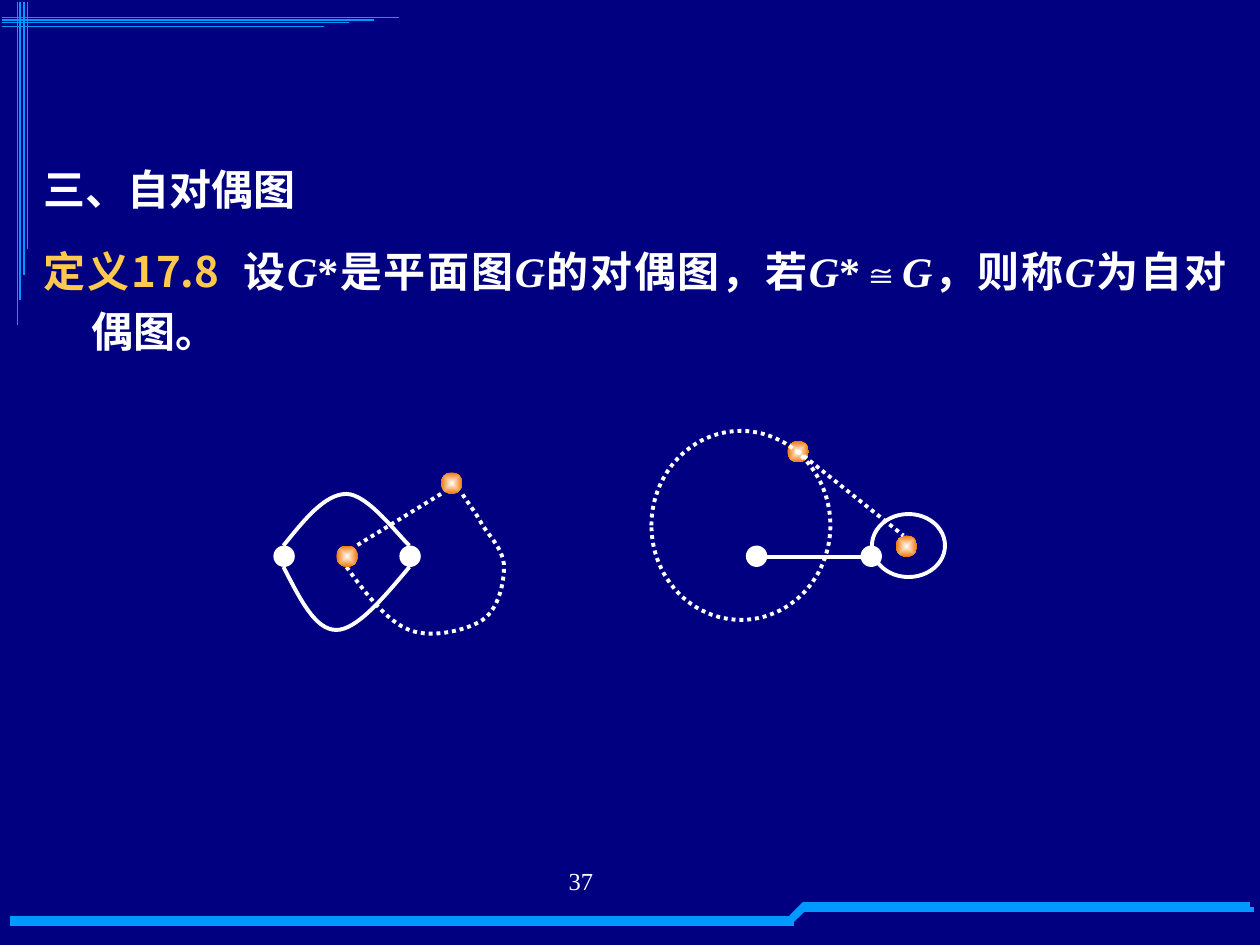
"""Build the slide on self-dual graphs."""
from lxml import etree
from pptx import Presentation
from pptx.dml.color import RGBColor
from pptx.enum.dml import MSO_LINE
from pptx.enum.shapes import MSO_CONNECTOR, MSO_SHAPE
from pptx.enum.text import PP_ALIGN
from pptx.oxml.ns import qn
from pptx.util import Inches, Pt

STRAIGHT = MSO_CONNECTOR.STRAIGHT
OVAL = MSO_SHAPE.OVAL
DOTS = MSO_LINE.ROUND_DOT
CENTER = PP_ALIGN.CENTER
JUSTIFY = PP_ALIGN.JUSTIFY

NAVY = RGBColor(0x00, 0x00, 0x80)
BLUE = RGBColor(0x00, 0x99, 0xFF)
WHITE = RGBColor(0xFF, 0xFF, 0xFF)
GOLD = RGBColor(0xFF, 0xC9, 0x4C)
ORANGE = RGBColor(0xF0, 0x76, 0x00)

SERIF = "Times New Roman"
SANS = "Noto Sans CJK JP"
DOT = 0.17

deck = Presentation()
deck.slide_width = Inches(10)
deck.slide_height = Inches(7.5)
slide = deck.slides.add_slide(deck.slide_layouts[6])
slide.background.fill.solid()
slide.background.fill.fore_color.rgb = NAVY
shapes = slide.shapes


def add_line(x1, y1, x2, y2, color=WHITE, width=2.25, dash=None):
    line = shapes.add_connector(STRAIGHT, Inches(x1), Inches(y1), Inches(x2), Inches(y2))
    line.line.color.rgb = color
    line.line.width = Pt(width)
    line.line.dash_style = dash
    etree.SubElement(line._element.spPr, qn("a:effectLst"))


def add_oval(x, y, wide, high):
    oval = shapes.add_shape(OVAL, Inches(x), Inches(y), Inches(wide), Inches(high))
    oval.shadow.inherit = False
    oval.fill.background()
    oval.line.fill.background()
    return oval


for y in (7.29, 7.33):
    add_line(0.08, y, 6.3, y, BLUE, 3)
for x, y in ((6.28, 7.28), (6.27, 7.32)):
    add_line(x, y, x + 0.11, y - 0.11, BLUE, 3)
for y, end in ((7.18, 9.92), (7.22, 9.95)):
    add_line(6.37, y, end, y, BLUE, 3)

for i, y in enumerate((0.14, 0.16, 0.18, 0.21)):
    add_line(0.02, y, 3.17 - i * 0.2, y, BLUE, 0.75)
for i, x in enumerate((0.14, 0.16, 0.19, 0.22)):
    add_line(x, 0.02, x, 2.58 - i * 0.2, BLUE, 0.75)

number = shapes.add_textbox(Inches(3.11), Inches(6.82), Inches(2.33), Inches(0.52))
frame = number.text_frame
frame.word_wrap = True
frame.margin_left = Inches(0.77)
frame.text = "37"
frame.paragraphs[0].alignment = CENTER
font = frame.paragraphs[0].runs[0].font
font.name = SERIF
font.size = Pt(14)
font.color.rgb = WHITE

TEXT = (
    (("三、自对偶图", SERIF, WHITE),),
    (
        ("定义17.8  ", SANS, GOLD),
        ("设", SERIF, WHITE),
        ("G", SERIF, WHITE),
        ("*是平面图", SERIF, WHITE),
        ("G", SERIF, WHITE),
        ("的对偶图，若", SERIF, WHITE),
        ("G", SERIF, WHITE),
        ("*", SERIF, WHITE),
        ("≅", "Arial", WHITE),
        ("G", SERIF, WHITE),
        ("，则称", SERIF, WHITE),
        ("G", SERIF, WHITE),
        ("为自对偶图。", SERIF, WHITE),
    ),
)
body = shapes.add_textbox(Inches(0.25), Inches(1.17), Inches(9.58), Inches(1.83))
frame = body.text_frame
frame.word_wrap = True
frame.add_paragraph()
for para, parts in zip(frame.paragraphs, TEXT):
    para.alignment = JUSTIFY
    para.line_spacing = 1.2
    para.space_before = Pt(12)
    props = para._p.get_or_add_pPr()
    props.set("marL", str(Inches(0.38)))
    props.set("indent", str(Inches(-0.38)))
    for words, face, color in parts:
        run = para.add_run()
        run.text = words
        run.font.name = face
        run.font.size = Pt(24)
        run.font.bold = True
        run.font.italic = words == "G"
        run.font.color.rgb = color
        etree.SubElement(run._r.get_or_add_rPr(), qn("a:ea"), typeface=SANS)

CURVES = (
    (None, (2.25, 4.33), ((2.42, 4.12), (2.58, 3.92), (2.75, 3.92),
                          (2.92, 3.92), (3.17, 4.26), (3.25, 4.33))),
    (None, (2.25, 4.5), ((2.38, 4.75), (2.5, 5), (2.67, 5),
                         (2.83, 5), (3.04, 4.75), (3.25, 4.5))),
    (DOTS, (2.75, 4.5), ((2.91, 4.72), (3.07, 4.93), (3.25, 5),
                         (3.43, 5.07), (3.71, 5), (3.83, 4.92),
                         (3.96, 4.83), (4, 4.62), (4, 4.5),
                         (4, 4.37), (3.89, 4.26), (3.83, 4.17),
                         (3.78, 4.07), (3.69, 3.96), (3.67, 3.92))),
)
for dash, start, points in CURVES:
    pen = shapes.build_freeform(Inches(start[0]), Inches(start[1]))
    pen.add_line_segments([(Inches(x), Inches(y)) for x, y in points], close=False)
    curve = pen.convert_to_shape()
    curve.shadow.inherit = False
    curve.fill.background()
    curve.line.color.rgb = WHITE
    curve.line.width = Pt(2.25)
    curve.line.dash_style = dash
    route = next(curve._element.iter(qn("a:path")))
    for i, leg in enumerate(route.findall(qn("a:lnTo"))):
        if i % 3 == 0:
            bend = etree.SubElement(route, qn("a:cubicBezTo"))
        bend.append(leg[0])
        route.remove(leg)

for x in (2.17, 3.17, 5.92, 6.83):
    node = add_oval(x, 4.33, DOT, DOT)
    node.fill.solid()
    node.fill.fore_color.rgb = WHITE

add_line(6.08, 4.42, 6.83, 4.42)
loop = add_oval(6.92, 4.08, 0.58, 0.5)
loop.line.color.rgb = WHITE
loop.line.width = Pt(2.25)

for x, y in ((2.67, 4.33), (3.5, 3.75), (6.25, 3.5), (7.11, 4.25)):
    node = add_oval(x, y, DOT, DOT)
    node.fill.gradient()
    for stop, color in zip(node.fill.gradient_stops, (WHITE, ORANGE)):
        stop.color.rgb = color
    grad = node._element.spPr.find(qn("a:gradFill"))
    grad.remove(grad.find(qn("a:lin")))
    glow = etree.SubElement(grad, qn("a:path"), {"path": "rect"})
    etree.SubElement(glow, qn("a:fillToRect"), dict.fromkeys("ltrb", "50000"))

add_line(3.5, 3.92, 2.83, 4.33, dash=DOTS)
add_line(6.33, 3.58, 7.17, 4.25, dash=DOTS)
ring = add_oval(5.17, 3.42, 1.42, 1.5)
ring.line.color.rgb = WHITE
ring.line.width = Pt(2.25)
ring.line.dash_style = DOTS

deck.save("out.pptx")
